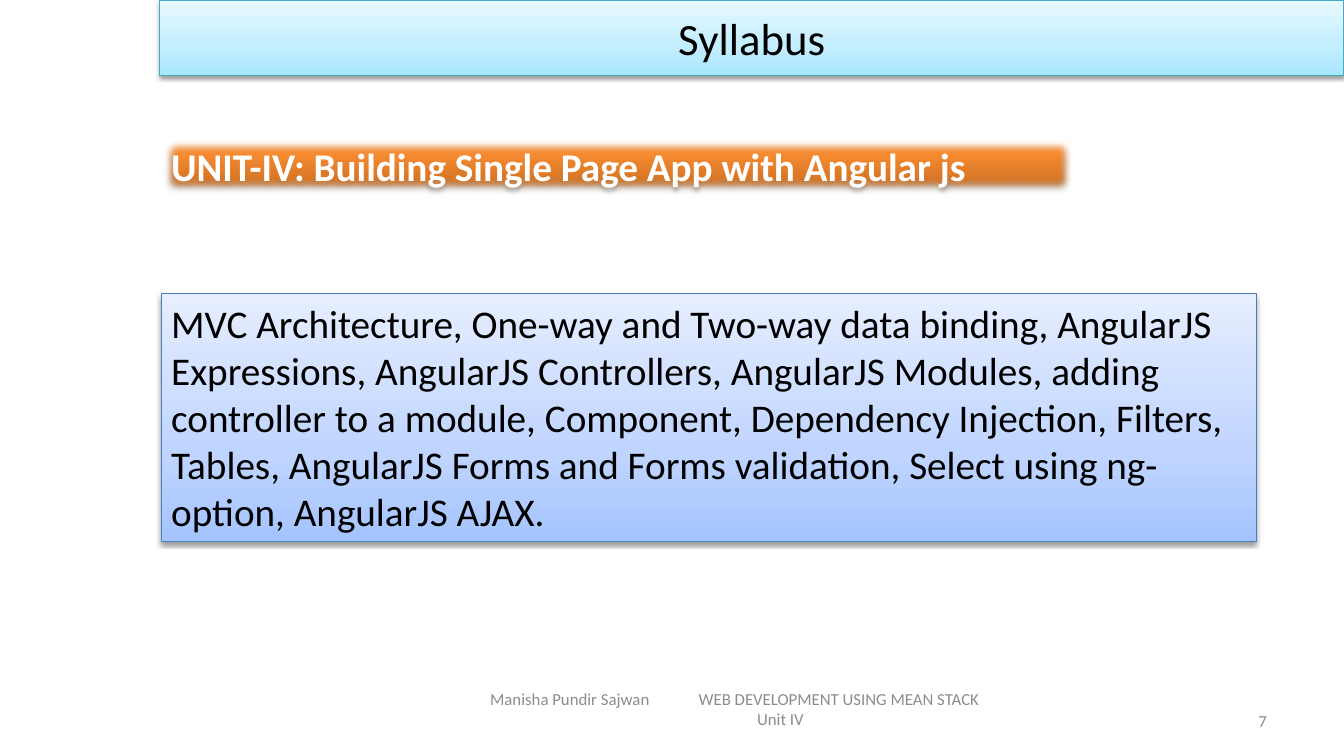
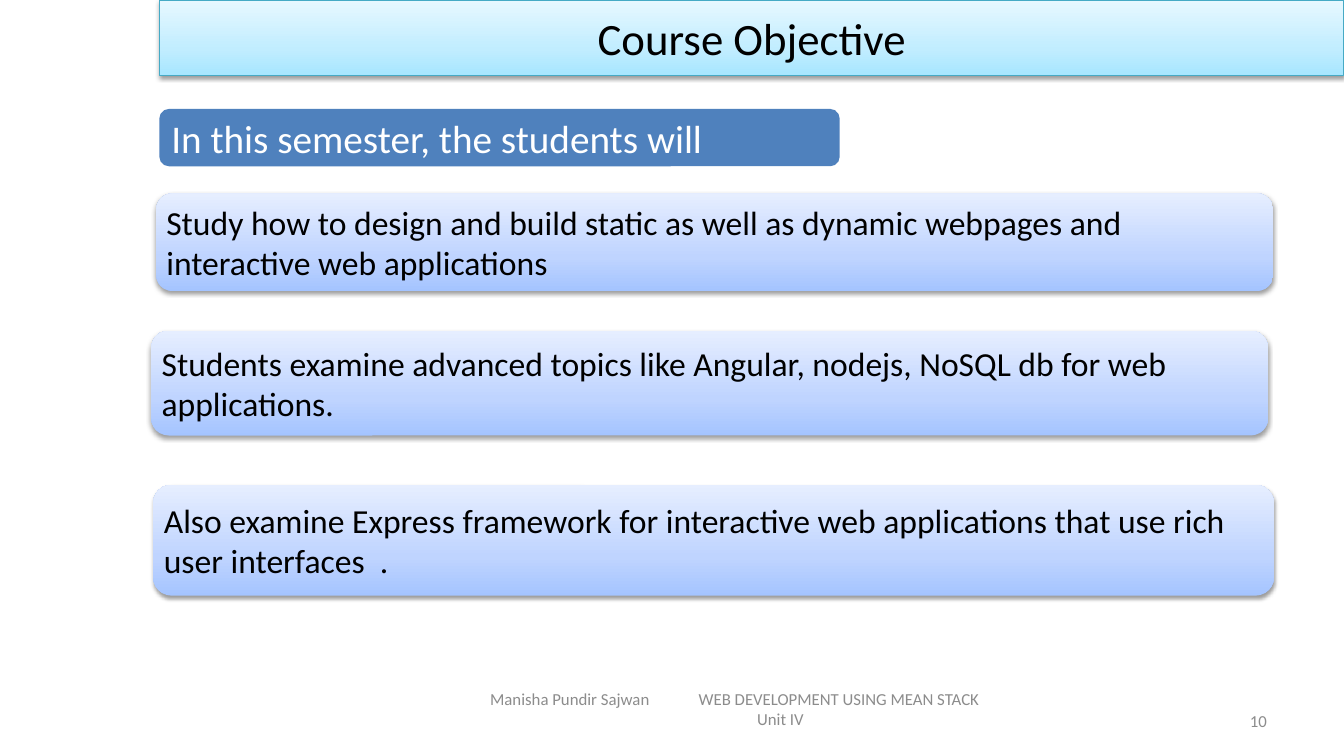
from dataclasses import dataclass
from typing import Optional

from lxml.etree import SubElement
from pptx import Presentation
from pptx.dml.color import RGBColor
from pptx.enum.shapes import MSO_SHAPE as SHAPE
from pptx.enum.text import MSO_ANCHOR as ANCHOR, PP_ALIGN as ALIGN
from pptx.oxml.ns import qn
from pptx.util import Pt

FONT = "Calibri"
BLACK = RGBColor(0x00, 0x00, 0x00)
WHITE = RGBColor(0xFF, 0xFF, 0xFF)
GRAY = RGBColor(0x8C, 0x8C, 0x8C)
BLUE = RGBColor(0x4F, 0x81, 0xBD)
BLUE_EDGE = RGBColor(0x4B, 0x7E, 0xBC)
AQUA_EDGE = RGBColor(0x46, 0xAA, 0xC5)
AQUA_FADE = (
    (0, RGBColor(0xA7, 0xE6, 0xFF)),
    (35, RGBColor(0xC1, 0xED, 0xFF)),
    (100, RGBColor(0xE7, 0xF8, 0xFF)),
)
BLUE_FADE = (
    (0, RGBColor(0xA4, 0xC4, 0xFF)),
    (35, RGBColor(0xBF, 0xD4, 0xFF)),
    (100, RGBColor(0xE6, 0xEE, 0xFF)),
)
ORANGE_FADE = (
    (0, RGBColor(0xC2, 0x69, 0x1F)),
    (80, RGBColor(0xFF, 0x90, 0x34)),
    (100, RGBColor(0xFF, 0x91, 0x36)),
)


@dataclass(frozen=True)
class Shadow:
    opacity: int = 38
    blur: float = 3.1
    distance: float = 1.6


@dataclass(frozen=True)
class Panel:
    left: float
    top: float
    width: float
    height: float
    shape: SHAPE = SHAPE.RECTANGLE
    fade: tuple = BLUE_FADE
    solid: Optional[RGBColor] = None
    edge: Optional[RGBColor] = None
    shadow: Optional[Shadow] = Shadow()
    soft_edge: float = 0


TITLE = Panel(114, 0, 846, 54, fade=AQUA_FADE, edge=AQUA_EDGE)
UNIT = Panel(115.2, 97.9, 652.3, 41, fade=ORANGE_FADE,
             shadow=Shadow(35, 3.1, 1.8), soft_edge=6)
TOPICS = Panel(115.2, 210, 782, 177, edge=BLUE_EDGE)
LEAD = Panel(113.8, 77.8, 486, 41, SHAPE.ROUNDED_RECTANGLE,
             solid=BLUE, shadow=None)
GOALS = (
    (Panel(111.6, 138.2, 797.8, 69.8, SHAPE.ROUNDED_RECTANGLE),
     "Study how to design and build static as well as dynamic webpages and "
     "interactive web applications"),
    (Panel(108, 236.2, 797.8, 74.9, SHAPE.ROUNDED_RECTANGLE),
     "Students examine advanced topics like Angular, nodejs, NoSQL db for web "
     "applications."),
    (Panel(109.4, 346.3, 800.6, 79.2, SHAPE.ROUNDED_RECTANGLE),
     "Also examine Express framework for interactive web applications that "
     "use rich user interfaces  ."),
)


def add_text(tf, text: str, *, size: float, color: RGBColor = BLACK,
             bold: bool = False, align: ALIGN = ALIGN.LEFT,
             anchor: ANCHOR = ANCHOR.MIDDLE, inset: float = 7.2,
             inset_y: float = 3.6, indent: float = 0, tab: float = 0,
             append: bool = False) -> None:
    tf.word_wrap = True
    tf.vertical_anchor = anchor
    tf.margin_left = tf.margin_right = Pt(inset)
    tf.margin_top = tf.margin_bottom = Pt(inset_y)
    p = tf.add_paragraph() if append else tf.paragraphs[0]
    p.alignment = align
    pPr = p._p.get_or_add_pPr()
    if indent:
        pPr.set("marL", str(Pt(indent)))
    if tab:
        tabs = SubElement(pPr, qn("a:tabLst"))
        SubElement(tabs, qn("a:tab"), pos=str(Pt(tab)), algn="l")
    r = p.add_run()
    r.text = text
    r.font.name = FONT
    r.font.size = Pt(size)
    r.font.bold = bold
    r.font.color.rgb = color


def add_color(parent, color: RGBColor):
    return SubElement(parent, qn("a:srgbClr"), val=str(color))


def fill_fade(sp, stops: tuple) -> None:
    sp.fill.gradient()
    sp.fill.gradient_angle = 90
    gs_list = sp._element.spPr.find(qn("a:gradFill")).find(qn("a:gsLst"))
    for gs in list(gs_list):
        gs_list.remove(gs)
    for position, color in stops:
        add_color(SubElement(gs_list, qn("a:gs"), pos=str(position * 1000)), color)


def add_effects(sp, panel: Panel) -> None:
    sp.shadow.inherit = False
    effects = sp._element.spPr.find(qn("a:effectLst"))
    if panel.shadow:
        outer = SubElement(effects, qn("a:outerShdw"),
                           blurRad=str(Pt(panel.shadow.blur)),
                           dist=str(Pt(panel.shadow.distance)),
                           dir="5400000", rotWithShape="0")
        SubElement(add_color(outer, BLACK), qn("a:alpha"),
                   val=str(panel.shadow.opacity * 1000))
    if panel.soft_edge:
        SubElement(effects, qn("a:softEdge"), rad=str(Pt(panel.soft_edge)))


def add_panel(slide, panel: Panel, text: str, **text_format) -> None:
    sp = slide.shapes.add_shape(panel.shape, Pt(panel.left), Pt(panel.top),
                                Pt(panel.width), Pt(panel.height))
    if panel.solid is None:
        fill_fade(sp, panel.fade)
    else:
        sp.fill.solid()
        sp.fill.fore_color.rgb = panel.solid
    if panel.edge is None:
        sp.line.fill.background()
    else:
        sp.line.color.rgb = panel.edge
        sp.line.width = Pt(0.75)
    add_effects(sp, panel)
    add_text(sp.text_frame, text, **text_format)


def add_slide(prs, title: str, number: int):
    slide = prs.slides.add_slide(prs.slide_layouts[6])
    footer = slide.shapes.add_textbox(Pt(343), Pt(491.8), Pt(372), Pt(28.8))
    tf = footer.text_frame
    add_text(tf, "Manisha Pundir Sajwan\tWEB DEVELOPMENT USING MEAN STACK",
             size=12, color=GRAY, tab=149)
    add_text(tf, "Unit IV", size=12, color=GRAY, align=ALIGN.CENTER,
             indent=57, append=True)
    page = slide.shapes.add_textbox(Pt(688), Pt(500.4), Pt(224), Pt(28.8))
    add_text(page.text_frame, str(number), size=12, color=GRAY, align=ALIGN.RIGHT)
    add_panel(slide, TITLE, title, size=32, align=ALIGN.CENTER)
    return slide


def add_syllabus(prs) -> None:
    slide = add_slide(prs, "Syllabus", 7)
    add_panel(slide, UNIT, "UNIT-IV: Building Single Page App with Angular js",
              size=28, color=WHITE, bold=True, align=ALIGN.JUSTIFY,
              anchor=ANCHOR.TOP)
    add_panel(slide, TOPICS,
              "MVC Architecture, One-way and Two-way data binding, AngularJS "
              "Expressions, AngularJS Controllers, AngularJS Modules, adding "
              "controller to a module, Component, Dependency Injection, "
              "Filters, Tables, AngularJS Forms and Forms validation, Select "
              "using ng-option, AngularJS AJAX.",
              size=28, anchor=ANCHOR.TOP)


def add_objective(prs) -> None:
    slide = add_slide(prs, "Course Objective", 10)
    add_panel(slide, LEAD, "In this semester, the students will",
              size=28, color=WHITE, inset=6.6)
    for panel, text in GOALS:
        add_panel(slide, panel, text, size=24, inset=3.8)


def main() -> None:
    prs = Presentation()
    prs.slide_width, prs.slide_height = Pt(960), Pt(540)
    add_syllabus(prs)
    add_objective(prs)
    prs.save("out.pptx")


if __name__ == "__main__":
    main()
